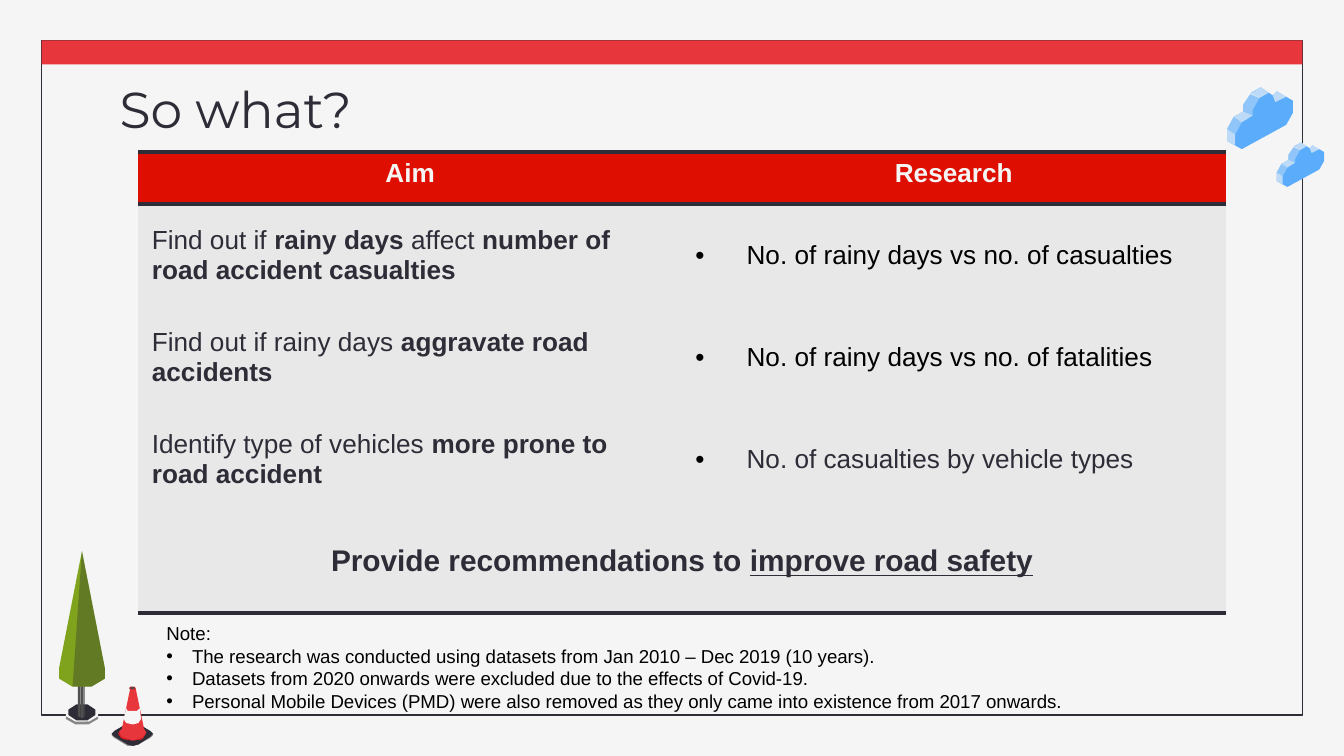
"""Build the "So what?" slide: aims against research, with notes and roadside art."""
from pptx import Presentation
from pptx import util as u
from pptx.dml.color import RGBColor
from pptx.enum import shapes, text
from pptx.oxml import ns, xmlchemy

DARK = RGBColor(0x2D, 0x2C, 0x37)
BLACK = RGBColor(0, 0, 0)
PALE = RGBColor(0xF5, 0xF5, 0xF5)
RED = RGBColor(0xE7, 0x36, 0x3C)
DEEP_RED = RGBColor(0xCE, 0x18, 0x1E)
TIP_RED = RGBColor(0xB1, 0x28, 0x2F)
HEADER_RED = RGBColor(0xDE, 0x0E, 0x01)
ROW_GREY = RGBColor(0xE8, 0xE8, 0xE8)
GREY = RGBColor(0x87, 0x87, 0x87)
TRUNK = RGBColor(0x50, 0x50, 0x50)
STONE = RGBColor(0xA3, 0x9C, 0x95)
SOIL = RGBColor(0x5E, 0x44, 0x39)
GREEN = RGBColor(0x7F, 0xA3, 0x1D)
BLUE = RGBColor(0x5B, 0xAD, 0xFB)

TITLE = "So what?"
HEADERS = ["Aim", "Research"]
ROWS = [
    ([("Find out if ", False), ("rainy days ", True), ("affect ", False),
      ("number of road accident casualties", True)],
     "No. of rainy days vs no. of casualties", BLACK),
    ([("Find out if rainy days ", False), ("aggravate road accidents", True)],
     "No. of rainy days vs no. of fatalities", BLACK),
    ([("Identify type of vehicles ", False), ("more prone to road accident", True)],
     "No. of casualties by vehicle types", DARK),
]
CONCLUSION = [("Provide recommendations to ", False), ("improve road safety", True)]
NOTE_HEADING = "Note:"
NOTES = [
    "The research was conducted using datasets from Jan 2010 – Dec 2019 (10 years).",
    "Datasets from 2020 onwards were excluded due to the effects of Covid-19.",
    "Personal Mobile Devices (PMD) were also removed as they only came into existence from 2017 onwards.",
]

CLOUD_PLACES = [(9.13, 0.65, 1), (9.5, 1.06, 0.72)]
CLOUD = [
    (BLUE, 100, [(.25, 0), (.18, .04), (.12, .13), (.12, .18), (.05, .22), (0, .31), (0, .4),
                 (.11, .46), (.44, .28), (.49, .19), (.49, .1), (.37, .03), (.34, .06)]),
    (PALE, 64, [(.25, 0), (.17, .05), (.24, .08), (.31, .04)]),
    (PALE, 64, [(.12, .18), (.05, .22), (.11, .26), (.19, .21)]),
    (PALE, 34, [(.05, .22), (0, .31), (.06, .35), (.11, .26)]),
    (PALE, 34, [(.12, .13), (.12, .18), (.19, .21), (.19, .17)]),
    (PALE, 64, [(0, .31), (0, .4), (.06, .43), (.06, .35)]),
    (PALE, 64, [(.37, .03), (.34, .06), (.36, .11), (.44, .07)]),
    (PALE, 34, [(.18, .04), (.12, .13), (.19, .17), (.24, .08)]),
]
TREE = [
    (GREY, 100, [(.73, 5.33), (.63, 5.36), (.66, 5.39), (.73, 5.35)]),
    (PALE, 100, [(.56, 5.23), (.49, 5.27), (.49, 5.33), (.56, 5.37),
                 (.66, 5.37), (.73, 5.33), (.73, 5.27), (.66, 5.23)]),
    (STONE, 100, [(.57, 5.25), (.53, 5.28), (.53, 5.3), (.69, 5.3), (.69, 5.28), (.64, 5.25)]),
    (SOIL, 100, [(.57, 5.27), (.53, 5.3), (.53, 5.32), (.57, 5.35),
                 (.64, 5.35), (.69, 5.32), (.69, 5.3), (.64, 5.27)]),
    (GREY, 100, [(.56, 5.37), (.55, 5.37), (.56, 5.39), (.66, 5.39), (.66, 5.37)]),
    (GREY, 100, [(.49, 5.33), (.49, 5.35), (.56, 5.39), (.56, 5.37)]),
    (DARK, 100, [(.57, 5.24), (.51, 5.28), (.51, 5.32), (.57, 5.36),
                 (.65, 5.36), (.71, 5.32), (.71, 5.28), (.65, 5.24)]),
    (TRUNK, 100, [(.6, 5.08), (.6, 5.34), (.62, 5.34), (.62, 5.08)]),
    (TRUNK, 100, [(.63, 5.07), (.62, 5.08), (.62, 5.34), (.63, 5.33)]),
    (TRUNK, 100, [(.58, 5.07), (.58, 5.33), (.6, 5.34), (.6, 5.08)]),
    (TRUNK, 100, [(.6, 5.05), (.58, 5.06), (.58, 5.07), (.6, 5.08),
                  (.62, 5.08), (.63, 5.07), (.63, 5.06), (.62, 5.05)]),
    (GREEN, 100, [(.61, 4.1), (.44, 4.97), (.44, 5.05), (.54, 5.11),
                  (.68, 5.11), (.78, 5.05), (.78, 4.97)]),
    (DARK, 34, [(.61, 4.1), (.54, 5.11), (.68, 5.11), (.78, 5.05), (.78, 4.97)]),
]
CONE = [
    (GREY, 100, [(.99, 5.38), (.95, 5.39), (.85, 5.44), (.83, 5.47), (.85, 5.49), (.95, 5.55),
                 (.98, 5.55), (1.03, 5.54), (1.12, 5.49), (1.14, 5.47), (1.12, 5.45), (1.02, 5.39)]),
    (DARK, 100, [(.99, 5.37), (.95, 5.38), (.85, 5.44), (.83, 5.46), (.85, 5.48), (.95, 5.54),
                 (.99, 5.55), (1.03, 5.54), (1.12, 5.48), (1.14, 5.46), (1.12, 5.44), (1.02, 5.38)]),
    (RED, 100, [(.91, 5.42), (.89, 5.44), (.88, 5.46), (.9, 5.49), (.92, 5.5), (.99, 5.51),
                (1.06, 5.5), (1.09, 5.45), (1.07, 5.42)]),
    (DEEP_RED, 100, [(.89, 5.45), (.88, 5.46), (.9, 5.49), (.92, 5.5), (.99, 5.51), (1.06, 5.5),
                     (1.09, 5.45), (1.06, 5.49), (.99, 5.51), (.92, 5.49), (.9, 5.48)]),
    (RED, 100, [(.97, 5.12), (.91, 5.41), (.91, 5.43), (.93, 5.45), (.99, 5.47),
                (1.04, 5.45), (1.07, 5.42), (1.07, 5.41), (1.01, 5.12)]),
    (PALE, 100, [(.94, 5.27), (.92, 5.35), (.94, 5.38), (.99, 5.39), (1.03, 5.38),
                 (1.05, 5.35), (1.04, 5.27), (1.02, 5.29), (.99, 5.29), (.95, 5.29)]),
    (TIP_RED, 100, [(.99, 5.11), (.97, 5.11), (.96, 5.12), (.97, 5.13), (.99, 5.13),
                    (1, 5.13), (1.01, 5.12), (1, 5.11)]),
    (TRUNK, 100, [(.99, 5.11), (.97, 5.12), (.99, 5.13), (1, 5.12)]),
]


def box(*inches):
    return [u.Inches(value) for value in inches]


def add_xml(parent, tag, **attributes):
    child = xmlchemy.OxmlElement(tag)
    for name, value in attributes.items():
        child.set(name, str(value))
    parent.append(child)
    return child


def write(paragraph, words, color, **formats):
    run = paragraph.add_run()
    run.text = words
    run.font.color.rgb = color
    for name, value in formats.items():
        setattr(run.font, name, value)


def bullet(paragraph, indent):
    properties = paragraph._p.get_or_add_pPr()
    properties.set("marL", str(u.Inches(indent)))
    properties.set("indent", str(-u.Inches(indent)))
    add_xml(add_xml(properties, "a:buClr"), "a:srgbClr", val=BLACK)
    add_xml(properties, "a:buFont", typeface="Arial")
    add_xml(properties, "a:buChar", char="•")


def border(cell, *sides):
    properties = cell._tc.get_or_add_tcPr()
    for position, side in enumerate(sides):
        line = add_xml(properties, f"a:{side}", w=u.Pt(2.25))
        add_xml(add_xml(line, "a:solidFill"), "a:srgbClr", val=DARK)
        properties.insert(position, line)


def paint(shape, fill):
    shape.shadow.inherit = False
    shape.line.fill.background()
    shape.fill.solid()
    shape.fill.fore_color.rgb = fill


def draw(group, pieces, left=0, top=0, scale=1):
    for color, opacity, points in pieces:
        corners = [box(left + x * scale, top + y * scale) for x, y in points]
        outline = group.shapes.build_freeform(*corners[0])
        outline.add_line_segments(corners[1:], close=True)
        piece = outline.convert_to_shape()
        paint(piece, color)
        if opacity < 100:
            add_xml(next(piece.element.iter(ns.qn("a:srgbClr"))), "a:alpha", val=opacity * 1000)


def add_backdrop(slide):
    slide.background.fill.solid()
    slide.background.fill.fore_color.rgb = PALE
    frame, band = [slide.shapes.add_shape(shapes.MSO_SHAPE.RECTANGLE, *box(0.31, 0.3, 9.38, height))
                   for height in (5.02, 0.18)]
    paint(band, RED)
    frame.shadow.inherit = False
    frame.fill.background()
    frame.line.color.rgb = DARK
    frame.line.width = u.Pt(0.75)
    clouds = slide.shapes.add_group_shape()
    for place in CLOUD_PLACES:
        draw(clouds, CLOUD, *place)
    draw(slide.shapes.add_group_shape(), TREE + CONE)


def add_title(slide):
    title = slide.shapes.title
    title.left, title.top, title.width, title.height = box(0.79, 0.48, 8.43, 0.63)
    frame = title.text_frame
    margins = {f"margin_{side}": u.Inches(0.1) for side in ("left", "top", "right", "bottom")}
    for name, value in {**margins, "word_wrap": True, "auto_size": text.MSO_AUTO_SIZE.NONE,
                        "vertical_anchor": text.MSO_ANCHOR.TOP}.items():
        setattr(frame, name, value)
    heading = frame.paragraphs[0]
    heading.alignment = text.PP_ALIGN.LEFT
    write(heading, TITLE, DARK, size=u.Pt(27), name="Montserrat")


def add_aims(slide):
    holder = slide.shapes.add_table(len(ROWS) + 2, 2, *box(1.03, 1.13, 8.09, 3.44))
    next(holder.element.iter(ns.qn("a:tableStyleId"))).text = "{2D5ABB26-0587-4C30-8999-92F81FD0307C}"
    table = holder.table
    table.first_row = table.horz_banding = False
    for index, row in enumerate(table.rows):
        row.height = u.Inches(0.76 if index else 0.39)
        for cell in row.cells:
            cell.fill.solid()
            cell.fill.fore_color.rgb = ROW_GREY if index else HEADER_RED
            cell.vertical_anchor = text.MSO_ANCHOR.MIDDLE if index else text.MSO_ANCHOR.TOP
    body = {"size": u.Pt(14), "name": "Arial"}
    for column, header in enumerate(HEADERS):
        cell = table.cell(0, column)
        border(cell, "lnT", "lnB")
        border(table.cell(len(ROWS) + 1, column), "lnB")
        cell.text_frame.paragraphs[0].alignment = text.PP_ALIGN.CENTER
        write(cell.text_frame.paragraphs[0], header, PALE, **body, bold=True)
    for index, (aim, research, color) in enumerate(ROWS, 1):
        aim_line, research_line = [table.cell(index, column).text_frame.paragraphs[0] for column in (0, 1)]
        for words, bold in aim:
            write(aim_line, words, DARK, **body, bold=bold)
        bullet(research_line, 0.38)
        write(research_line, research, color, **body, bold=False)
    last = table.cell(len(ROWS) + 1, 0)
    last.merge(table.cell(len(ROWS) + 1, 1))
    closing = last.text_frame.paragraphs[0]
    closing.alignment = text.PP_ALIGN.CENTER
    for words, underline in CONCLUSION:
        write(closing, words, DARK, size=u.Pt(16), name="Arial", bold=True, underline=underline)


def add_notes(slide):
    frame = slide.shapes.add_textbox(*box(1.14, 4.58, 7.71, 0.77)).text_frame
    frame.word_wrap = True
    frame.auto_size = text.MSO_AUTO_SIZE.SHAPE_TO_FIT_TEXT
    for index, words in enumerate([NOTE_HEADING] + NOTES):
        line = frame.add_paragraph() if index else frame.paragraphs[0]
        if index:
            bullet(line, 0.19)
        write(line, words, BLACK, size=u.Pt(10), name="Arial")


def main():
    deck = Presentation()
    deck.slide_width, deck.slide_height = box(10, 10 * 9 / 16)
    slide = deck.slides.add_slide(deck.slide_layouts[5])
    for add in (add_backdrop, add_title, add_aims, add_notes):
        add(slide)
    deck.save("out.pptx")


if __name__ == "__main__":
    main()
